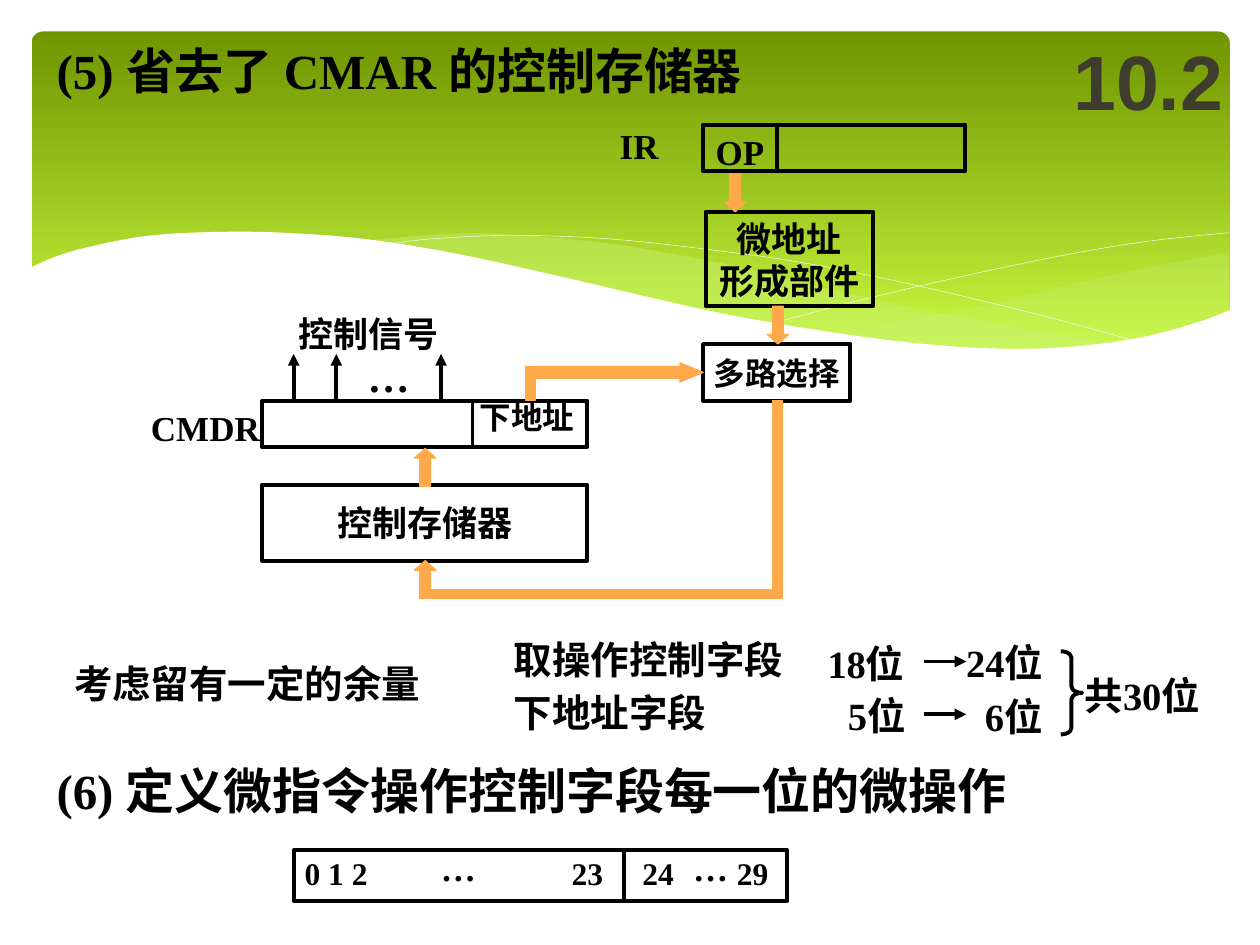
from dataclasses import dataclass
from lxml.etree import SubElement
from pptx import Presentation
from pptx.dml.color import RGBColor as RGB
from pptx.enum.shapes import MSO_CONNECTOR as Link, MSO_SHAPE as Kind
from pptx.enum.text import MSO_ANCHOR as Anchor, MSO_AUTO_SIZE as Fit, PP_ALIGN as Align
from pptx.oxml.ns import qn
from pptx.util import Pt


@dataclass(frozen=True)
class Theme:
    ink: str = "000000"
    mark: str = "3E3D2D"
    flow: str = "FFA94A"
    dark: str = "6F9500"
    light: str = "D0FF44"
    haze: str = "CAF278"
    white: str = "FFFFFF"
    serif: str = "Times New Roman"
    sans: str = "Arial"
    head: int = 28
    note: int = 22
    label: int = 20
    small: int = 18
    dots: int = 24
    num: int = 44
    rule: float = 2.25


T = Theme()

# Content: all lengths in points
HEAD = "(5) 省去了 CMAR 的控制存储器"
STEP = "(6) 定义微指令操作控制字段每一位的微操作"

# Backdrop: each edge is a row of knots joined by a smooth curve
FAR = [[(702, 144), (682, 148), (652, 153.5), (620, 160.5), (580, 170.5),
        (542, 178.5), (508, 185), (476, 191)],
       [(476, 191), (508, 195), (545, 198), (578, 200), (622, 199), (663, 193),
        (693, 181), (702, 178)]]
NEAR = [[(643, 196.5), (603, 191), (558, 183), (508, 173), (453, 160), (420, 152),
         (389.5, 146), (361, 141), (334, 137.5), (302, 134.6), (274, 133.2),
         (248, 134), (225, 136), (206, 137.5)],
        [(206, 137.5), (246, 143.5), (291, 152), (323, 160), (382, 173), (433, 183.6),
         (479, 191.5), (530, 198), (573, 200), (617, 199.4), (643, 196.5)]]
WAVE = [[(703.4, 177), (684, 184.3), (655, 192.2), (621.4, 197.3), (582.5, 199.4),
         (535.7, 197.3), (481, 190.8), (417, 180), (362, 167.8), (321.8, 158.4),
         (262.8, 145.4), (210.2, 136.8), (165.6, 133.2), (126.7, 132.5),
         (85.7, 134.6), (54, 140.4), (33, 146.2), (16.6, 153.4)],
        [(16.6, 237), (703.4, 237)]]
HAIRS = [[(222, 140), (229, 138.5), (247, 136.5), (278, 134.8), (312, 134.8),
          (352, 136.8), (400, 142), (458, 150), (523, 163), (598, 181), (653, 196)],
         [(441, 185), (484, 173.5), (538.5, 160.5), (602, 147), (655, 138), (702, 133)]]

# Boxes: place, lines of text, size
BOXES = [
    ((401.8, 196.6, 84.2, 32.4), ["多路选择"], T.small),
    ((401.8, 71.3, 149.8, 26.6), [], 0),
    ((149.8, 229, 185.8, 26.6), [], 0),
    ((149.8, 277.2, 185.8, 43.2), ["控制存储器"], T.label),
    ((403.2, 121, 95.8, 54), ["微地址", "形成部件"], T.label),
    ((167.8, 486, 282.2, 28.8), [], 0),
]
# Labels: text, place, size
LABELS = [
    ("OP", (401.8, 71.3, 41.8, 31.7), T.label),
    ("IR", (347, 67.7, 36.7, 31.7), T.label),
    ("CMDR", (79.2, 229, 76.3, 31.7), T.label),
    ("控制信号", (163.4, 175, 94.3, 31.7), T.label),
    ("下地址", (267.1, 226.1, 68.4, 28.8), T.small),
    ("…", (203, 196.6, 38.2, 36), T.dots),
    ("考虑留有一定的余量", (35.3, 373.7, 264.2, 33.8), T.note),
    ("取操作控制字段", (286.6, 360, 167.8, 33.8), T.note),
    ("下地址字段", (286.6, 390.2, 123.8, 33.8), T.note),
    ("18位", (465.8, 362.2, 63.4, 33.8), T.note),
    ("5位", (477.4, 391.7, 52.6, 33.8), T.note),
    ("24位", (545, 361.4, 63.4, 33.8), T.note),
    ("6位", (555.8, 392.4, 52.6, 33.8), T.note),
    ("共30位", (612.7, 380.2, 90.7, 33.8), T.note),
    (STEP, (25.2, 431.3, 610.6, 41), T.head),
    ("…", (244.8, 480.2, 34.6, 31.7), T.label),
    ("…", (389, 480.2, 34.6, 31.7), T.label),
]
BITS, STOPS = "0 1 2\t23\t24\t29", (152.6, 193, 247)
CUTS = [(444.2, 71.3, 97.9), (270, 229, 256.3), (356.4, 486, 516.2)]
RISES = (167.8, 192.2, 252)
GROWS = (378, 408.2)
# Data flow: kind, place, adjustments
FLOWS = [
    (Kind.UP_ARROW, (236.9, 256.3, 12.2, 21.6), (0.5, 0.45)),
    (Kind.UP_ARROW, (236.9, 320.4, 12.2, 21.6), (0.5, 0.45)),
    (Kind.RECTANGLE, (239.8, 337, 203.8, 5), ()),
    (Kind.RECTANGLE, (441.4, 229, 5.8, 113), ()),
    (Kind.RIGHT_ARROW, (306, 207.4, 95.8, 10.8), (0.61, 1.22)),
    (Kind.RECTANGLE, (300.2, 209.5, 5.8, 19.4), ()),
    (Kind.DOWN_ARROW, (438.5, 175, 12.2, 21.6), (0.5, 0.45)),
    (Kind.DOWN_ARROW, (414, 99.4, 12.2, 21.6), (0.5, 0.45)),
]

deck = Presentation()
deck.slide_width, deck.slide_height = Pt(720), Pt(540)
slide = deck.slides.add_slide(deck.slide_layouts[5])
shapes = slide.shapes


def paint(shape, fill=None, line=None, width=T.rule):
    shape.shadow.inherit = False
    if fill:
        shape.fill.solid()
        shape.fill.fore_color.rgb = RGB.from_string(fill)
    else:
        shape.fill.background()
    if line:
        shape.line.color.rgb = RGB.from_string(line)
        shape.line.width = Pt(width)
    else:
        shape.line.fill.background()


def draw(kind, at, adj=(), **look):
    shape = shapes.add_shape(kind, *map(Pt, at))
    for i, v in enumerate(adj):
        shape.adjustments[i] = v
    paint(shape, **look)
    return shape


def write(shape, lines, size, align=Align.LEFT, font=T.serif, color=T.ink,
          anchor=Anchor.TOP, wrap=False):
    frame = shape.text_frame
    frame.word_wrap, frame.auto_size = wrap, Fit.NONE
    frame.vertical_anchor = anchor
    for i, line in enumerate(lines):
        para = frame.add_paragraph() if i else frame.paragraphs[0]
        para.alignment = align
        run = para.add_run()
        run.text = line
        run.font.name, run.font.size, run.font.bold = font, Pt(size), True
        run.font.color.rgb = RGB.from_string(color)
    return frame


def label(text, at, size, **look):
    return write(shapes.add_textbox(*map(Pt, at)), [text], size, **look)


def wire(x1, y1, x2, y2, arrow=False):
    link = shapes.add_connector(Link.STRAIGHT, *map(Pt, (x1, y1, x2, y2)))
    link.line.color.rgb, link.line.width = RGB.from_string(T.ink), Pt(T.rule)
    if arrow:
        SubElement(link.line._get_or_add_ln(), qn("a:tailEnd"), type="triangle")
    SubElement(link.element.spPr, qn("a:effectLst"))


def smooth(knots, n=5):
    """Catmull-Rom curve through the knots."""
    ends = [knots[0], *knots, knots[-1]]
    out = [knots[0]]
    for a, b, c, d in zip(ends, ends[1:], ends[2:], ends[3:]):
        for t in (k / n for k in range(1, n + 1)):
            out.append(tuple(
                q + t * (r - p + t * (2 * p - 5 * q + 4 * r - s
                                      + t * (3 * q - p - 3 * r + s))) / 2
                for p, q, r, s in zip(a, b, c, d)))
    return out


def trace(edges, alpha=None, close=True, **look):
    dots = [(Pt(x), Pt(y)) for edge in edges for x, y in smooth(edge)]
    pen = shapes.build_freeform(*dots[0])
    pen.add_line_segments(dots[1:], close=close)
    shape = pen.convert_to_shape()
    paint(shape, **look)
    if alpha:
        tint = shape.element.find(".//" + qn("a:srgbClr"))
        SubElement(tint, qn("a:alpha"), val=str(alpha * 1000))


# Backdrop
panel = draw(Kind.ROUNDED_RECTANGLE, (18, 18, 684.7, 194.4), (0.034,))
panel.fill.gradient()
panel.fill.gradient_angle = 270
for stop, tone in zip(panel.fill.gradient_stops, (T.dark, T.light)):
    stop.color.rgb = RGB.from_string(tone)
trace(FAR, alpha=29, fill=T.haze)
trace(NEAR, alpha=40, fill=T.haze)
for hair in HAIRS:
    trace([hair], close=False, line=T.white, width=0.25)
trace(WAVE, fill=T.white)

# Title, brought in front of the backdrop
title = shapes.title
title.left, title.top, title.width, title.height = map(Pt, (25.2, 19.4, 478.8, 41))
write(title, [HEAD], T.head, wrap=True)
title.element.getparent().append(title.element)
label("10.2", (606.2, 12.2, 113.8, 66.2), T.num, font=T.sans, color=T.mark,
      anchor=Anchor.MIDDLE, wrap=True)

# Boxes and their dividers
for at, lines, size in BOXES:
    box = draw(Kind.RECTANGLE, at, line=T.ink)
    if lines:
        write(box, lines, size, Align.CENTER, anchor=Anchor.MIDDLE)
for x, top, end in CUTS:
    wire(x, top, x, end)

# Labels
for text, at, size in LABELS:
    frame = label(text, at, size)
    if size == T.small:
        frame.margin_top = Pt(1.4)
bits = label(BITS, (167, 484.6, 280, 28.8), T.small)
tabs = SubElement(bits.paragraphs[0]._p.get_or_add_pPr(), qn("a:tabLst"))
for stop in STOPS:
    SubElement(tabs, qn("a:tab"), pos=str(Pt(stop)), algn="l")

# Control signals, field growth and the brace
for x in RISES:
    wire(x, 229, x, 202.3, arrow=True)
for y in GROWS:
    wire(527.8, y, 552.2, y, arrow=True)
draw(Kind.RIGHT_BRACE, (606.2, 372.2, 12.2, 47.5), (0.3, 0.5), line=T.ink)

# Data flow
for kind, at, adj in FLOWS:
    draw(kind, at, adj, fill=T.flow, line=T.flow, width=0.75)

deck.save("out.pptx")
